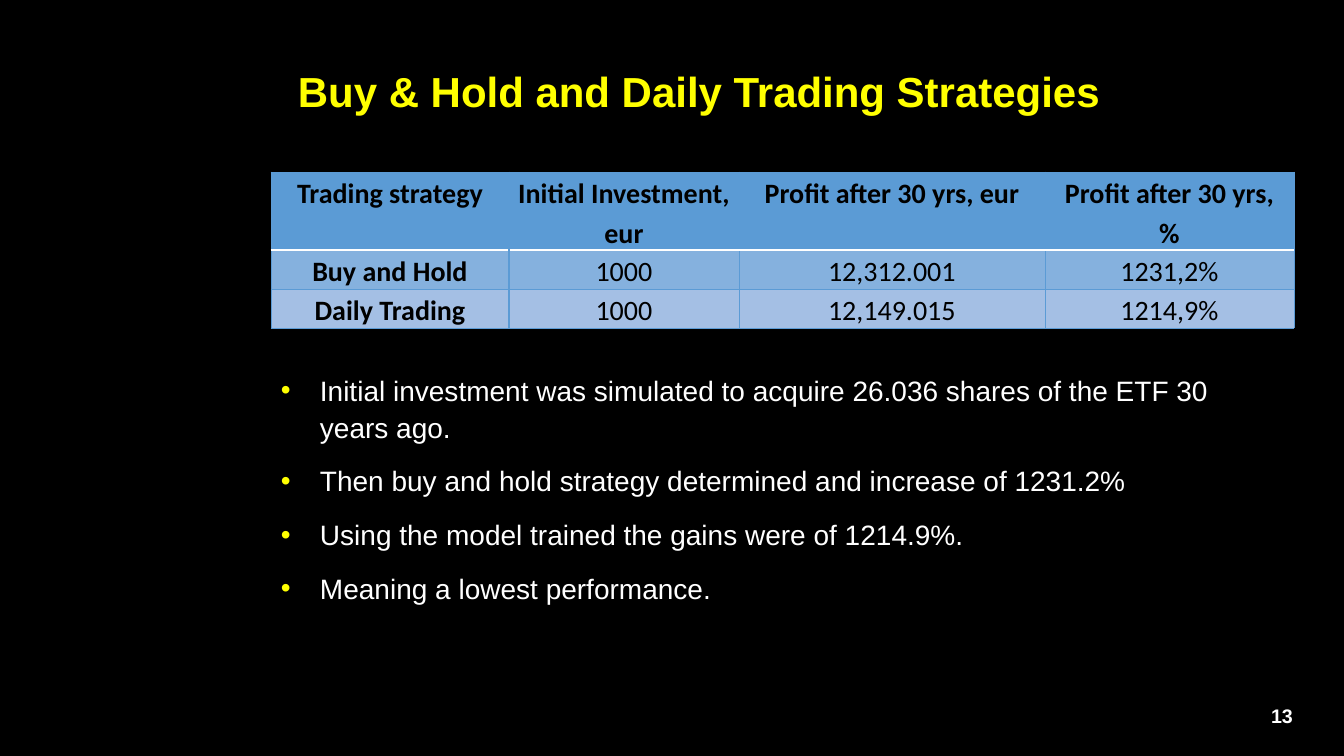
from lxml.etree import SubElement
from pptx import Presentation
from pptx.dml.color import RGBColor
from pptx.enum.text import MSO_ANCHOR, PP_ALIGN
from pptx.oxml import parse_xml
from pptx.oxml.ns import nsdecls, qn
from pptx.util import Emu, Pt

COLORS = {
    "background": "000000",
    "accent": "FFFF00",
    "text": "FFFFFF",
    "table_text": "000000",
    "header": "5B9BD5",
    "band": "85B1DE",
    "plain": "A4BFE4",
}
PX_PER_INCH = 100.8

TABLE_ROWS = [
    ["Trading strategy", "Initial Investment, eur", "Profit after 30 yrs, eur", "Profit after 30 yrs, %"],
    ["Buy and Hold", "1000", "12,312.001", "1231,2%"],
    ["Daily Trading", "1000", "12,149.015", "1214,9%"],
]
ROW_FILLS = ["header", "band", "plain"]
COLUMN_WIDTHS = [238, 230, 306, 249]
ROW_HEIGHTS = [78, 39, 39]
BULLETS = [
    "Initial investment was simulated to acquire 26.036 shares of the ETF 30 years ago.",
    "Then buy and hold strategy determined and increase of 1231.2%",
    "Using the model trained the gains were of 1214.9%.",
    "Meaning a lowest performance.",
]


def px(length):
    return Emu(round(length * 914400 / PX_PER_INCH))


def color(name):
    return RGBColor.from_string(COLORS[name])


def add_span(para, text, size, color_name, bold=False, font="Arial"):
    span = para.add_run()
    span.text = text
    span.font.name = font
    span.font.size = Pt(size)
    span.font.bold = bold
    span.font.color.rgb = color(color_name)


def set_spacing(para, line, before):
    para.line_spacing = line
    para.space_before = Pt(before)


def add_box(page, left, top, width, height, anchor=MSO_ANCHOR.TOP):
    box = page.shapes.add_textbox(px(left), px(top), px(width), px(height))
    box.text_frame.word_wrap = True
    box.text_frame.vertical_anchor = anchor
    return box.text_frame


def set_bullet(para):
    properties = para._p.get_or_add_pPr()
    properties.set("marL", str(px(39)))
    properties.set("indent", str(-px(39)))
    bullet_color = SubElement(properties, qn("a:buClr"))
    SubElement(bullet_color, qn("a:srgbClr"), val=COLORS["accent"])
    SubElement(properties, qn("a:buFont"), typeface="Arial")
    SubElement(properties, qn("a:buChar"), char="•")


def add_bullets(page, texts, left, top, width, height):
    frame = add_box(page, left, top, width, height)
    for index, text in enumerate(texts):
        para = frame.add_paragraph() if index else frame.paragraphs[0]
        set_spacing(para, 1.1, 12)
        set_bullet(para)
        add_span(para, text, 20, "text")


def set_borders(cell, borders):
    properties = cell._tc.get_or_add_tcPr()
    for position, side in enumerate("LRTB"):
        color_name, width = borders[side]
        line = parse_xml(
            f'<a:ln{side} {nsdecls("a")} w="{Pt(width)}"><a:solidFill>'
            f'<a:srgbClr val="{COLORS[color_name]}"/></a:solidFill></a:ln{side}>'
        )
        properties.insert(position, line)


def cell_borders(row, column):
    borders = {side: ("header", 0.5) for side in "LRTB"}
    if row == 0:
        borders["B"] = ("text", 1)
    elif column == 0:
        borders["R"] = ("header", 1)
    elif column == 1:
        borders["L"] = ("header", 1)
    if row == 1:
        borders["T"] = ("text", 1) if column else ("header", 0.5)
    return borders


def fill_cell(cell, text, fill, bold):
    cell.margin_left = cell.margin_right = px(7)
    cell.margin_top = cell.margin_bottom = 0
    cell.fill.solid()
    cell.fill.fore_color.rgb = color(fill)
    para = cell.text_frame.paragraphs[0]
    para.alignment = PP_ALIGN.CENTER
    set_spacing(para, 1.15, 10)
    add_span(para, text, 20, "table_text", bold, "Calibri")


def add_strategy_table(page, left, top):
    table = page.shapes.add_table(
        len(ROW_HEIGHTS), len(COLUMN_WIDTHS), px(left), px(top),
        px(sum(COLUMN_WIDTHS)), px(sum(ROW_HEIGHTS)),
    ).table
    for column, width in zip(table.columns, COLUMN_WIDTHS):
        column.width = px(width)
    for row, height in zip(table.rows, ROW_HEIGHTS):
        row.height = px(height)
    for row, texts in enumerate(TABLE_ROWS):
        for column, text in enumerate(texts):
            cell = table.cell(row, column)
            fill_cell(cell, text, ROW_FILLS[row], bold=row == 0 or column == 0)
            set_borders(cell, cell_borders(row, column))


def main():
    deck = Presentation()
    deck.slide_width, deck.slide_height = px(1344), px(756)
    page = deck.slides.add_slide(deck.slide_layouts[6])
    page.background.fill.solid()
    page.background.fill.fore_color.rgb = color("background")

    # Page number
    number = add_box(page, 1231, 692, 102, 40, MSO_ANCHOR.BOTTOM).paragraphs[0]
    number.alignment = PP_ALIGN.CENTER
    add_span(number, "13", 14, "text", bold=True)

    # Findings
    add_bullets(page, BULLETS, 271, 365, 1022, 323)

    # Title
    title = add_box(page, 288, 66, 886, 56).paragraphs[0]
    set_spacing(title, 0.9, 10)
    add_span(title, "Buy & Hold and Daily Trading Strategies", 30, "accent", bold=True)

    # Strategy comparison
    add_strategy_table(page, 271, 172)

    deck.save("out.pptx")


if __name__ == "__main__":
    main()
